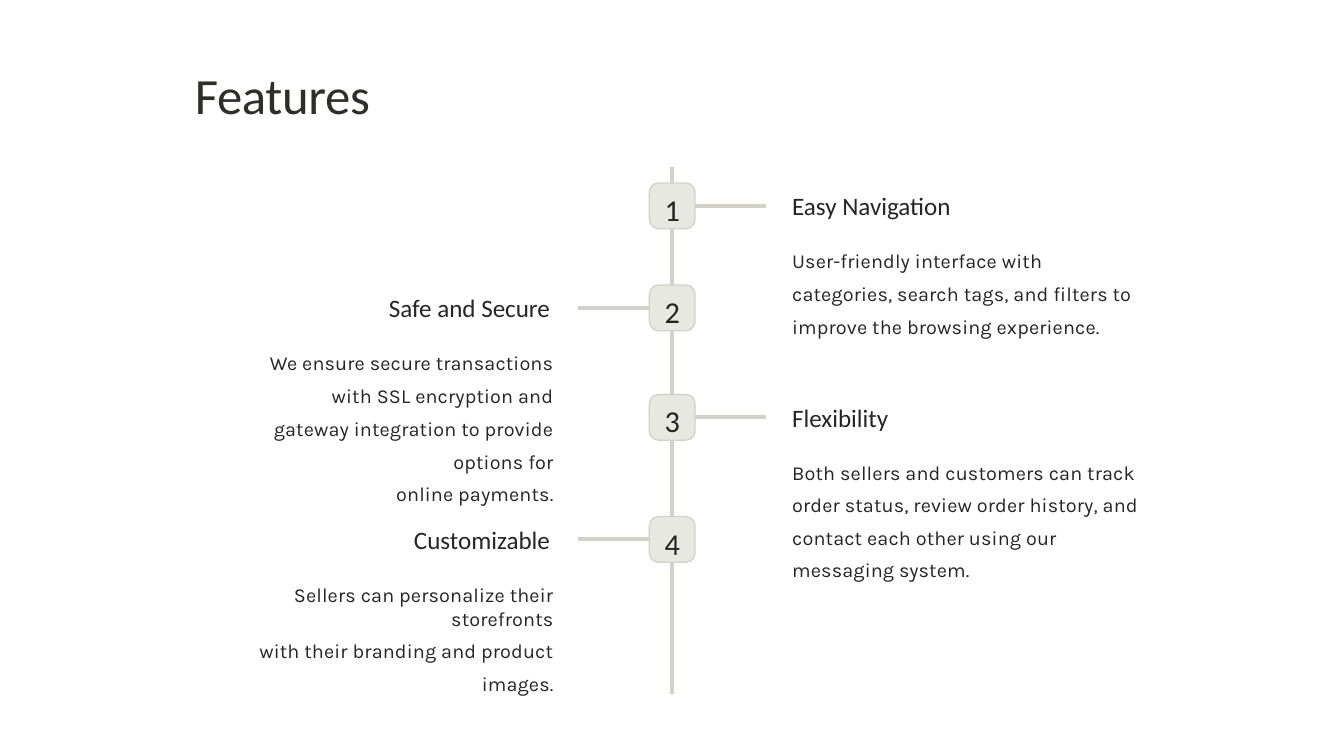
from dataclasses import dataclass

from pptx import Presentation
from pptx.dml.color import RGBColor
from pptx.enum.shapes import MSO_CONNECTOR as Connector, MSO_SHAPE as Shape
from pptx.enum.text import MSO_ANCHOR as Anchor, PP_ALIGN as Align
from pptx.oxml.ns import qn
from pptx.util import Pt

COLORS = {"title": "302E2B", "text": "272424", "line": "D1D1C6", "badge": "E8E8E2"}
SPINE_X = 576.2
BADGE = 39.2
ARM = 61
RIGHT_TEXT_X = 679
LEFT_TEXT_END = 474.4


@dataclass
class Feature:
    center: float
    on_right: bool
    heading: str
    heading_width: float
    lines: list
    width: float
    height: float
    leading: float = 1.38
    before: float = 0.6
    top: float = 0.7
    left: float = 0


FEATURES = [
    Feature(176.4, True, "Easy Navigation", 141,
            ["User-friendly interface with categories, search tags, and filters "
             "to improve the browsing experience."], 299.5, 86.4),
    Feature(263.9, False, "Safe and Secure", 142,
            ["We ensure secure transactions with SSL encryption and gateway "
             "integration to provide options for", "online payments."],
            278, 113.8, left=21.6),
    Feature(357.7, True, "Flexibility", 87,
            ["Both sellers and customers can track order status, review order "
             "history, and contact each other using our messaging system."],
            306, 113.8, leading=1.37),
    Feature(462.4, False, "Customizable", 120,
            ["Sellers can personalize their storefronts",
             "with their branding and product", "images."],
            303, 86.4, leading=1, before=8.3, top=8.6),
]


def color(name):
    return RGBColor.from_string(COLORS[name])


def style(para, font, size, shade, spacing=0.0):
    para.font.name = font
    para.font.size = Pt(size)
    para.font.color.rgb = color(shade)
    defaults = para._p.pPr.find(qn("a:defRPr"))
    defaults.set("spc", str(round(spacing * 100)))


def add_text(page, x, y, width, height, lines, top=1.4, left=0, right=0):
    box = page.shapes.add_textbox(Pt(x), Pt(y), Pt(width), Pt(height))
    frame = box.text_frame
    frame.word_wrap = True
    frame.margin_left, frame.margin_right = Pt(left), Pt(right)
    frame.margin_top, frame.margin_bottom = Pt(top), Pt(0)
    frame.text = "\n".join(lines)
    return frame.paragraphs


def add_line(page, x1, y1, x2, y2, width):
    line = page.shapes.add_connector(
        Connector.STRAIGHT, Pt(x1), Pt(y1), Pt(x2), Pt(y2))
    line.line.color.rgb = color("line")
    line.line.width = Pt(width)
    properties = line._element.spPr
    properties.append(properties.makeelement(qn("a:effectLst"), {}))
    return line


def add_badge(page, number, center):
    badge = page.shapes.add_shape(
        Shape.ROUNDED_RECTANGLE, Pt(SPINE_X - BADGE / 2), Pt(center - BADGE / 2),
        Pt(BADGE), Pt(BADGE))
    badge.adjustments[0] = 0.2
    badge.shadow.inherit = False
    badge.fill.solid()
    badge.fill.fore_color.rgb = color("badge")
    badge.line.color.rgb = color("line")
    badge.line.width = Pt(1.09)
    frame = badge.text_frame
    frame.margin_left = frame.margin_right = frame.margin_bottom = Pt(0)
    frame.margin_top = Pt(6)
    frame.vertical_anchor = Anchor.MIDDLE
    frame.text = str(number)
    para = frame.paragraphs[0]
    para.alignment = Align.CENTER
    style(para, "Calibri", 26, "text", 0.1)
    return badge


def add_arm(page, badge, feature):
    direction = 1 if feature.on_right else -1
    start = SPINE_X + direction * BADGE / 2
    arm = add_line(page, start, feature.center,
                   start + direction * ARM, feature.center, 3.4)
    arm.begin_connect(badge, 3 if feature.on_right else 1)


def add_feature_text(page, feature):
    def text_x(width):
        return RIGHT_TEXT_X if feature.on_right else LEFT_TEXT_END - width

    align = Align.LEFT if feature.on_right else Align.RIGHT
    heading = add_text(page, text_x(feature.heading_width), feature.center - 14.4,
                       feature.heading_width, 28, [feature.heading],
                       right=0 if feature.on_right else 3)[0]
    heading.alignment = align
    heading.space_before = Pt(1.2)
    style(heading, "Calibri", 21.5, "text")

    body = add_text(page, text_x(feature.width), feature.center + 28.5,
                    feature.width, feature.height, feature.lines,
                    feature.top, feature.left)
    for index, para in enumerate(body):
        para.alignment = align
        para.line_spacing = 1.0 if index else feature.leading
        para.space_before = Pt(7.3 if index else feature.before)
        style(para, "Karla", 17, "text", 0.1)


def main():
    deck = Presentation()
    deck.slide_width, deck.slide_height = Pt(1152), Pt(648)
    page = deck.slides.add_slide(deck.slide_layouts[6])

    title = add_text(page, 167, 54, 153.4, 54, ["Features"], top=0.7)[0]
    title.space_before = Pt(1.1)
    style(title, "Calibri", 43.5, "title", -0.3)

    add_line(page, SPINE_X, 143.3, SPINE_X, 594.7, 3.2)
    for number, feature in enumerate(FEATURES, 1):
        badge = add_badge(page, number, feature.center)
        add_arm(page, badge, feature)
        add_feature_text(page, feature)

    deck.save("out.pptx")


if __name__ == "__main__":
    main()
